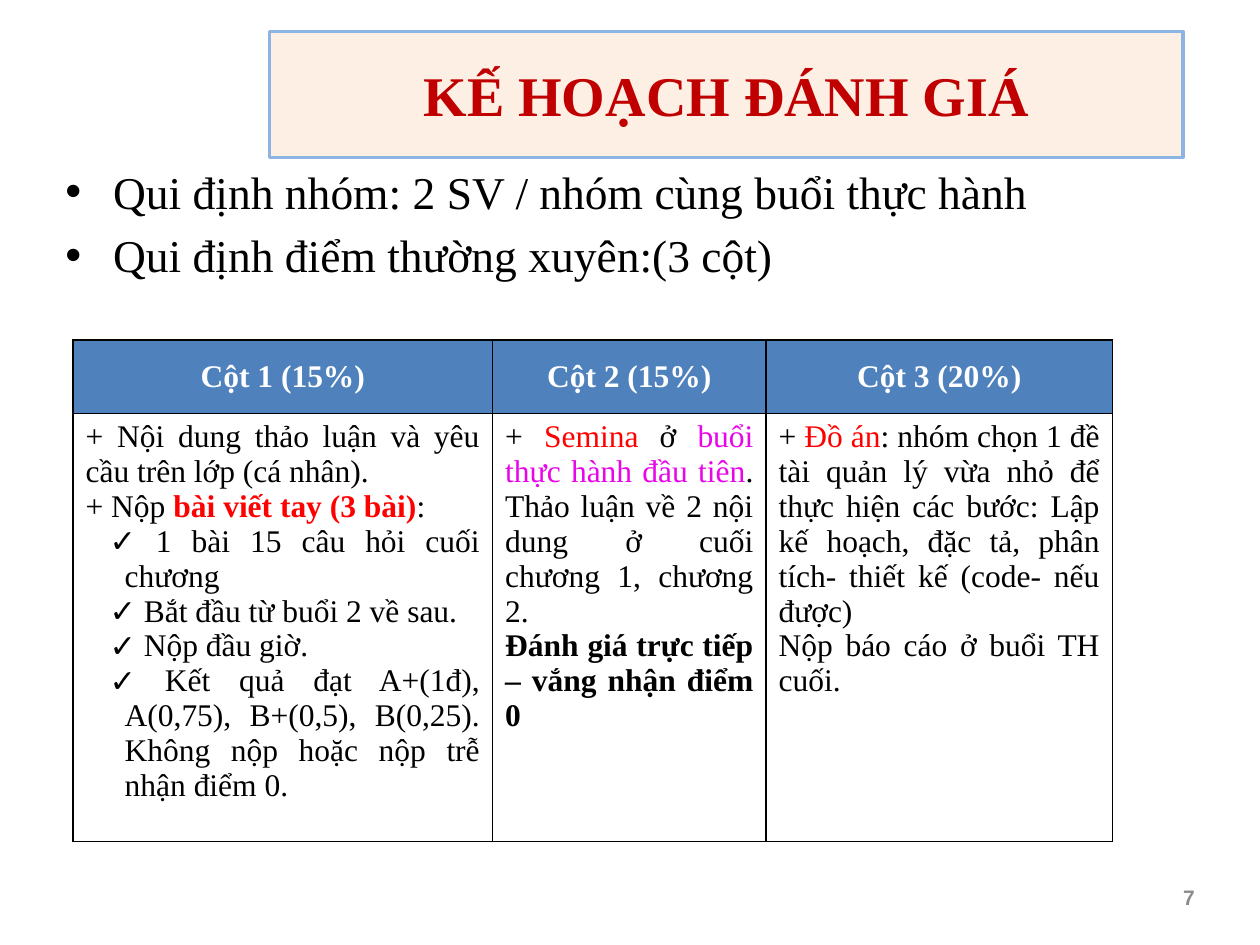
from lxml import etree
from pptx import Presentation
from pptx.dml.color import RGBColor
from pptx.enum.text import MSO_ANCHOR as Anchor, PP_ALIGN as Align
from pptx.oxml.ns import qn
from pptx.util import Inches, Pt

COLORS = {
    "title": "C00000", "banner": "FDEFE3", "banner_line": "8EB4E3",
    "text": "000000", "header": "4F81BD", "white": "FFFFFF",
    "red": "FF0000", "magenta": "E905E9", "number": "8C8C8C",
}
SERIF = "Times New Roman"

# Content: a paragraph is a list of (text, color, bold) runs
TITLE = "KẾ HOẠCH ĐÁNH GIÁ"
RULES = [
    "Qui định nhóm: 2 SV / nhóm cùng buổi thực hành",
    "Qui định điểm thường xuyên:(3 cột)",
]
HEADERS = ["Cột 1 (15%)", "Cột 2 (15%)", "Cột 3 (20%)"]
CHECK = "✓"


def plain(text):
    return (text, "text", False)


DETAILS = [
    [
        ("", [plain("+ Nội dung thảo luận và yêu cầu trên lớp (cá nhân).")]),
        ("", [plain("+ Nộp "), ("bài viết tay (3 bài)", "red", True), plain(":")]),
        (CHECK, [plain(" 1 bài 15 câu hỏi cuối chương")]),
        (CHECK, [plain(" Bắt đầu từ buổi 2 về sau.")]),
        (CHECK, [plain(" Nộp đầu giờ.")]),
        (CHECK, [plain(" Kết quả đạt A+(1đ), A(0,75), B+(0,5), B(0,25). "
                       "Không nộp hoặc nộp trễ nhận điểm 0.")]),
    ],
    [
        ("", [plain("+ "), ("Semina ", "red", False), plain("ở "),
              ("buổi thực hành đầu tiên", "magenta", False),
              plain(". Thảo luận về 2 nội dung ở cuối chương 1, chương 2.")]),
        ("", [("Đánh giá trực tiếp – vắng nhận điểm 0", "text", True)]),
    ],
    [
        ("", [plain("+ "), ("Đồ án", "red", False),
              plain(": nhóm chọn 1 đề tài quản lý vừa nhỏ để thực hiện các bước: "
                    "Lập kế hoạch, đặc tả, phân tích- thiết kế (code- nếu được)")]),
        ("", [plain("Nộp báo cáo ở buổi TH cuối.")]),
    ],
]
PAGE = "7"
COLUMN_WIDTHS = [3.33, 2.17, 2.75]
ROW_HEIGHTS = [0.58, 3.15]


def rgb(name):
    return RGBColor.from_string(COLORS[name])


def box(left, top, width, height):
    return [Inches(length) for length in (left, top, width, height)]


def write(paragraph, runs, size, align, font=SERIF):
    paragraph.alignment = align
    for text, color, bold in runs:
        run = paragraph.add_run()
        run.text = text
        run.font.name, run.font.size, run.font.bold = font, Pt(size), bold
        run.font.color.rgb = rgb(color)


def add_bullet(paragraph, mark, margin, hanging):
    props = paragraph._p.get_or_add_pPr()
    props.set("marL", str(Inches(margin)))
    props.set("indent", str(-Inches(hanging)))
    etree.SubElement(props, qn("a:buFont"), typeface="Arial")
    etree.SubElement(props, qn("a:buChar"), char=mark)


def next_paragraph(frame, index):
    return frame.add_paragraph() if index else frame.paragraphs[0]


def style_cell(cell, fill):
    props = cell._tc.get_or_add_tcPr()
    for side in ("lnL", "lnR", "lnT", "lnB"):
        border = etree.SubElement(props, qn(f"a:{side}"), w=str(Pt(1)))
        solid = etree.SubElement(border, qn("a:solidFill"))
        etree.SubElement(solid, qn("a:srgbClr"), val=COLORS["text"])
    cell.fill.solid()
    cell.fill.fore_color.rgb = rgb(fill)


prs = Presentation()
prs.slide_width, prs.slide_height = Inches(10), Inches(7.5)
slide = prs.slides.add_slide(prs.slide_layouts[5])

# Title in a hexagonal banner
title = slide.shapes.title
title.left, title.top, title.width, title.height = box(2.14, 0.25, 7.25, 1)
outline = etree.SubElement(title._element.spPr, qn("a:prstGeom"), prst="hexagon")
etree.SubElement(outline, qn("a:avLst"))
title.fill.solid()
title.fill.fore_color.rgb = rgb("banner")
title.line.color.rgb = rgb("banner_line")
title.line.width = Pt(2)
title.text_frame.vertical_anchor = Anchor.MIDDLE
write(title.text_frame.paragraphs[0], [(TITLE, "title", True)], 32, Align.CENTER)

# Bulleted rules
rules = slide.shapes.add_textbox(*box(0.42, 1.25, 9.33, 1.3)).text_frame
rules.word_wrap = True
for i, rule in enumerate(RULES):
    paragraph = next_paragraph(rules, i)
    paragraph.space_before = Pt(5.2)
    add_bullet(paragraph, "•", 0.38, 0.38)
    write(paragraph, [plain(rule)], 26, Align.LEFT)

# Grading table
grading = slide.shapes.add_table(
    2, len(HEADERS), *box(0.58, 2.7, sum(COLUMN_WIDTHS), sum(ROW_HEIGHTS))).table
grading.horz_banding = False
for row, height in zip(grading.rows, ROW_HEIGHTS):
    row.height = Inches(height)
for col, (width, header, details) in enumerate(zip(COLUMN_WIDTHS, HEADERS, DETAILS)):
    grading.columns[col].width = Inches(width)
    head, body = grading.cell(0, col), grading.cell(1, col)
    style_cell(head, "header")
    style_cell(body, "white")
    head.vertical_anchor = Anchor.MIDDLE
    write(head.text_frame.paragraphs[0], [(header, "white", True)], 18, Align.CENTER)
    for i, (mark, runs) in enumerate(details):
        paragraph = next_paragraph(body.text_frame, i)
        if mark:
            add_bullet(paragraph, mark, 0.31, 0.12)
        write(paragraph, runs, 18, Align.JUSTIFY)

# Slide number
number = slide.shapes.add_textbox(*box(7.25, 6.92, 2.33, 0.4)).text_frame
number.word_wrap = True
number.vertical_anchor = Anchor.MIDDLE
write(number.paragraphs[0], [(PAGE, "number", True)], 12, Align.RIGHT, "Arial")

prs.save("out.pptx")
